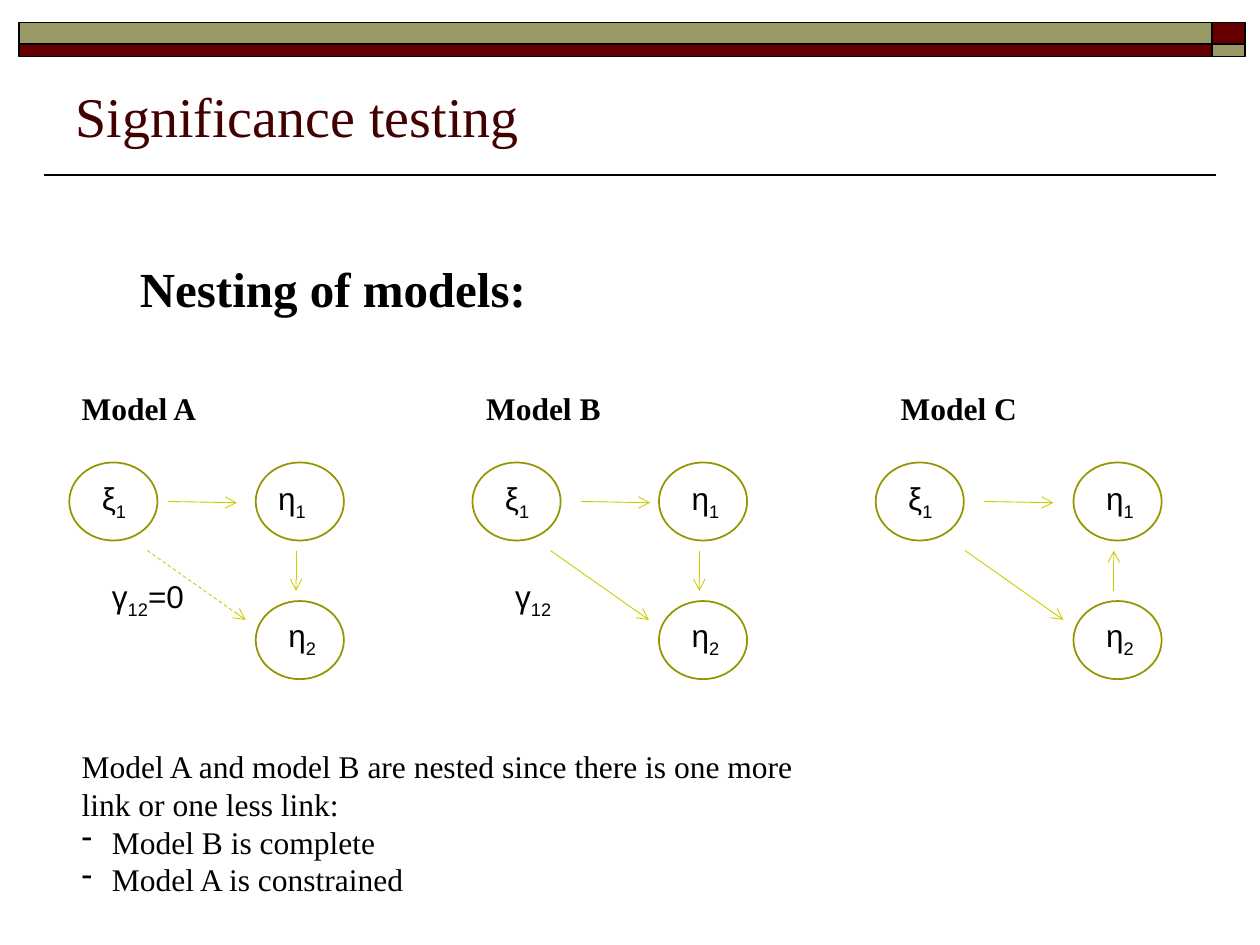
from dataclasses import dataclass

from lxml.etree import SubElement
from pptx import Presentation
from pptx.dml.color import RGBColor
from pptx.enum.dml import MSO_LINE
from pptx.enum.shapes import MSO_CONNECTOR, MSO_SHAPE
from pptx.enum.text import MSO_ANCHOR, MSO_AUTO_SIZE, PP_ALIGN
from pptx.oxml.ns import qn
from pptx.util import Inches, Pt

SERIF, SANS = "Times New Roman", "Arial"
BLACK, MAROON, OLIVE = "000000", "660000", "999966"
TITLE_COLOR, NODE_COLOR, ARROW_COLOR = "420000", "959500", "CCCC00"
NODE_W, NODE_H = 0.7, 0.62
TOP_ROW, BOTTOM_ROW = 3.67, 4.77


@dataclass
class Model:
    name: str
    name_x: float
    xi_x: float
    eta_x: float
    link_x: float
    eta1_inset: float = 0.16
    gamma: tuple[str, ...] = ()
    dashed: bool = False
    upward: bool = False


MODELS = [
    Model("Model A", 0.55, 0.55, 2.03, 1.33, eta1_inset=0.08,
          gamma=("γ", "12", "=0"), dashed=True),
    Model("Model B", 3.76, 3.75, 5.23, 4.61, gamma=("γ", "12")),
    Model("Model C", 7.05, 6.95, 8.52, 7.81, upward=True),
]


def rgb(value: str) -> RGBColor:
    return RGBColor.from_string(value)


def style(paragraph, size: float, face: str = SERIF, color: str = BLACK,
          bold: bool = False) -> None:
    font = paragraph.font
    font.size, font.name, font.bold = Pt(size), face, bold
    font.color.rgb = rgb(color)


def place(shape, x: float, y: float, w: float, h: float) -> None:
    shape.left, shape.top = Inches(x), Inches(y)
    shape.width, shape.height = Inches(w), Inches(h)


def set_bullet(paragraph, margin: float, indent: float, mark: str = "") -> None:
    """Set the hanging indent, with a bullet only if a mark is given."""
    props = paragraph._p.get_or_add_pPr()
    props.set("marL", str(Inches(margin)))
    props.set("indent", str(Inches(indent)))
    if mark:
        SubElement(props, qn("a:buChar")).set("char", mark)
    else:
        SubElement(props, qn("a:buNone"))


def add_box(slide, kind, x: float, y: float, w: float, h: float,
            line: str, fill: str = "") -> None:
    box = slide.shapes.add_shape(kind, Inches(x), Inches(y), Inches(w), Inches(h))
    box.shadow.inherit = False
    if fill:
        box.fill.solid()
        box.fill.fore_color.rgb = rgb(fill)
    else:
        box.fill.background()
    box.line.color.rgb = rgb(line)
    box.line.width = Pt(1)


def add_line(slide, x1: float, y1: float, x2: float, y2: float,
             color: str, width: float):
    line = slide.shapes.add_connector(
        MSO_CONNECTOR.STRAIGHT, Inches(x1), Inches(y1), Inches(x2), Inches(y2))
    line.line.color.rgb = rgb(color)
    line.line.width = Pt(width)
    SubElement(line._element.spPr, qn("a:effectLst"))
    return line


def add_arrow(slide, x1: float, y1: float, x2: float, y2: float,
              dashed: bool = False) -> None:
    arrow = add_line(slide, x1, y1, x2, y2, ARROW_COLOR, 0.5)
    if dashed:
        arrow.line.dash_style = MSO_LINE.DASH
    SubElement(arrow.line._get_or_add_ln(), qn("a:tailEnd")).set("type", "arrow")


def add_text(slide, x: float, y: float, w: float, h: float):
    frame = slide.shapes.add_textbox(
        Inches(x), Inches(y), Inches(w), Inches(h)).text_frame
    frame.word_wrap = True
    frame.auto_size = MSO_AUTO_SIZE.SHAPE_TO_FIT_TEXT
    return frame


def add_symbol(slide, x: float, y: float, w: float, parts: tuple[str, ...]) -> None:
    """Write a symbol whose second part is its subscript."""
    paragraph = add_text(slide, x, y, w, 0.44).paragraphs[0]
    style(paragraph, 18, SANS)
    for position, part in enumerate(parts):
        run = paragraph.add_run()
        run.text = part
        if position == 1:
            run._r.get_or_add_rPr().set("baseline", "-25000")


def add_node(slide, x: float, y: float, text_x: float, text_y: float,
             letter: str, index: str) -> None:
    add_box(slide, MSO_SHAPE.OVAL, x, y, NODE_W, NODE_H, NODE_COLOR)
    add_symbol(slide, text_x, text_y, 0.47, (letter, index))


def add_model(slide, model: Model) -> None:
    xi, eta = model.xi_x, model.eta_x
    heading = add_text(slide, model.name_x, 3.04, 2.03, 0.4).paragraphs[0]
    heading.text = model.name
    style(heading, 18, bold=True)

    add_node(slide, xi, TOP_ROW, xi + 0.16, 3.75, "ξ", "1")
    add_node(slide, eta, TOP_ROW, eta + model.eta1_inset, 3.75, "η", "1")
    add_node(slide, eta, BOTTOM_ROW, eta + 0.16, 4.84, "η", "2")

    add_arrow(slide, model.link_x, 3.98, model.link_x + 0.55, 3.99)
    add_arrow(slide, eta - 0.86, 4.37, eta - 0.08, 4.92, model.dashed)
    start, end = (4.69, 4.37) if model.upward else (4.37, 4.69)
    add_arrow(slide, eta + 0.32, start, eta + 0.32, end)
    if model.gamma:
        add_symbol(slide, xi + 0.24, 4.53, 0.93, model.gamma)


def add_banner(slide) -> None:
    add_line(slide, 9.65, 1.39, 0.35, 1.39, BLACK, 1)
    for y, h, wide, corner in ((0.18, 0.17, OLIVE, MAROON),
                               (0.35, 0.1, MAROON, OLIVE)):
        add_box(slide, MSO_SHAPE.RECTANGLE, 0.15, y, 9.47, h, BLACK, wide)
        add_box(slide, MSO_SHAPE.RECTANGLE, 9.62, y, 0.26, h, BLACK, corner)


def add_conclusion(slide) -> None:
    frame = add_text(slide, 0.55, 5.88, 6.11, 1.3)
    intro = frame.paragraphs[0]
    intro.text = ("Model A and model B are nested since there is one more "
                  "link or one less link:")
    style(intro, 18)
    for point in ("Model B is complete", "Model A is constrained"):
        item = frame.add_paragraph()
        item.text = point
        set_bullet(item, 0.24, -0.24, "-")
        style(item, 18)


def main() -> None:
    deck = Presentation()
    deck.slide_width, deck.slide_height = Inches(10), Inches(7.5)
    slide = deck.slides.add_slide(deck.slide_layouts[1])
    add_banner(slide)

    title = slide.shapes.title
    place(title, 0.5, 0.58, 9, 0.65)
    title.text_frame.text = "Significance testing"
    title.text_frame.vertical_anchor = MSO_ANCHOR.BOTTOM
    title_line = title.text_frame.paragraphs[0]
    title_line.alignment = PP_ALIGN.LEFT
    style(title_line, 32, color=TITLE_COLOR)

    body = slide.placeholders[1]
    place(body, 0.5, 2, 9, 4.7)
    body.text_frame.text = "Nesting of models:"
    topic = body.text_frame.paragraphs[0]
    topic.level = 1
    set_bullet(topic, 0.99, -0.48)
    topic.space_before = Pt(0)
    style(topic, 28, bold=True)

    for model in MODELS:
        add_model(slide, model)
    add_conclusion(slide)
    deck.save("out.pptx")


if __name__ == "__main__":
    main()
